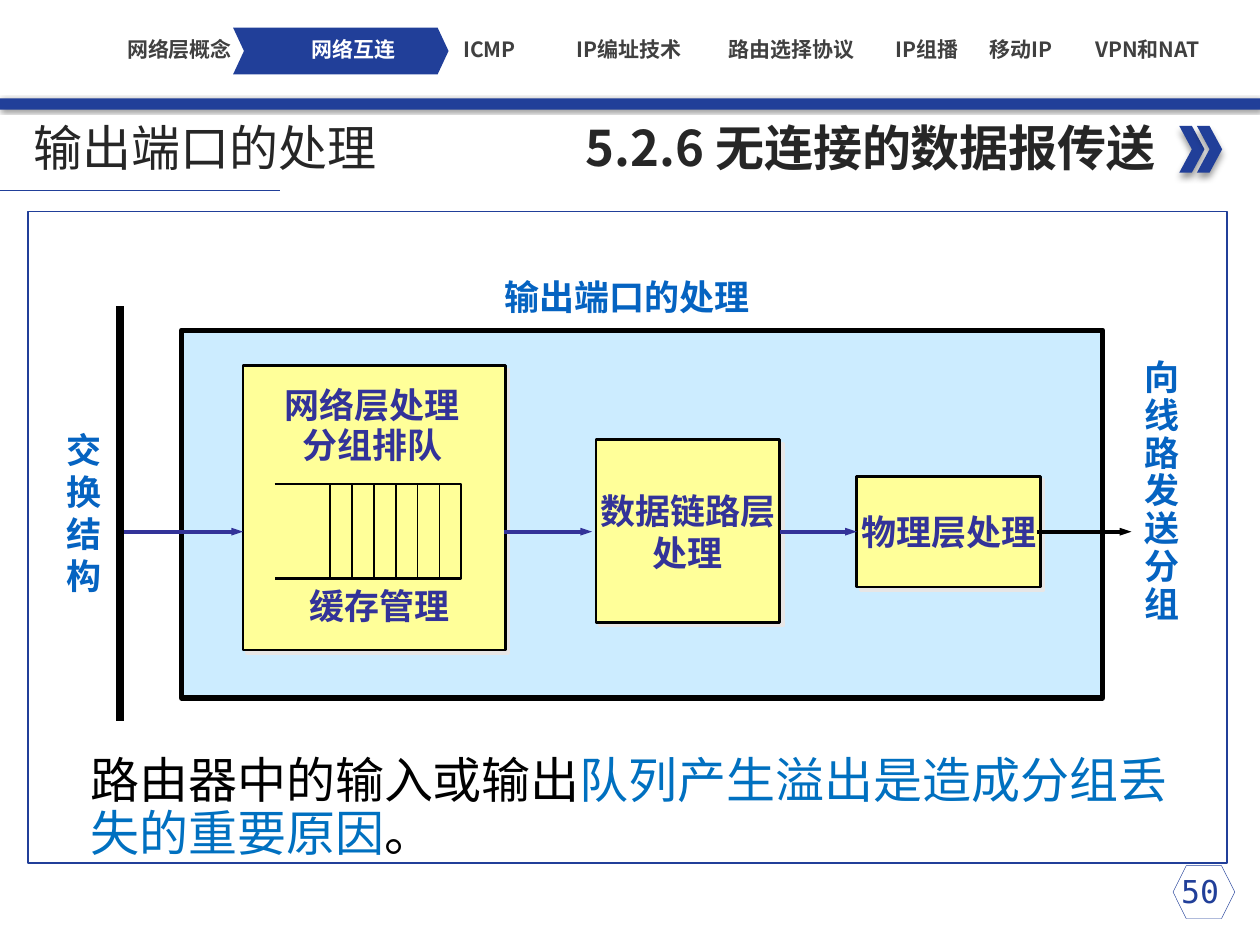
from dataclasses import dataclass
from typing import NamedTuple, Optional

import lxml.etree
import pptx
import pptx.dml.color
import pptx.enum.shapes
import pptx.enum.text
import pptx.oxml.ns
import pptx.util

Inches = pptx.util.Inches
Pt = pptx.util.Pt
Shape = pptx.enum.shapes.MSO_SHAPE
Align = pptx.enum.text.PP_ALIGN
Anchor = pptx.enum.text.MSO_ANCHOR
qn = pptx.oxml.ns.qn

NAVY, INDIGO, LINK, BLACK = "213F99", "333399", "0563C1", "000000"
CJK = "Noto Sans CJK SC"


class Box(NamedTuple):
    left: float
    top: float
    width: float
    height: float

    def lengths(self) -> list:
        return [Inches(value) for value in self]


class Shadow(NamedTuple):
    color: str
    opacity: int
    blur: float
    distance: float
    angle: int


@dataclass
class Style:
    size: int
    color: str
    bold: bool = False
    font: str = CJK
    align: Align = Align.CENTER
    anchor: Anchor = Anchor.TOP
    wrap: bool = True
    spacing: Optional[float] = None
    inset: Optional[float] = None


@dataclass
class Stage:
    box: Box
    lines: list


@dataclass
class Arrow:
    start: float
    end: float
    color: str = INDIGO


def rgb(color: str) -> pptx.dml.color.RGBColor:
    return pptx.dml.color.RGBColor.from_string(color)


def write(frame, paragraphs: list, style: Style) -> None:
    frame.word_wrap = style.wrap
    frame.vertical_anchor = style.anchor
    if style.inset is not None:
        frame.margin_left = frame.margin_right = Inches(style.inset)
        frame.margin_top = frame.margin_bottom = Inches(style.inset)
    for index, pieces in enumerate(paragraphs):
        paragraph = frame.add_paragraph() if index else frame.paragraphs[0]
        paragraph.alignment = style.align
        if style.spacing:
            paragraph.line_spacing = style.spacing
        for text, color in [(pieces, style.color)] if isinstance(pieces, str) else pieces:
            run = paragraph.add_run()
            run.text = text
            run.font.size = Pt(style.size)
            run.font.bold = style.bold
            run.font.name = style.font
            run.font.color.rgb = rgb(color)
            lxml.etree.SubElement(run.font._element, qn("a:ea"), typeface=CJK)


def add_text(slide, box: Box, paragraphs: list, style: Style) -> None:
    write(slide.shapes.add_textbox(*box.lengths()).text_frame, paragraphs, style)


def paint(shape, fill: Optional[str], line: Optional[str], weight: float) -> None:
    shape.shadow.inherit = False
    if fill:
        shape.fill.solid()
        shape.fill.fore_color.rgb = rgb(fill)
    else:
        shape.fill.background()
    if line:
        shape.line.color.rgb = rgb(line)
        shape.line.width = Pt(weight)
    else:
        shape.line.fill.background()


def add_shape(slide, kind: Shape, box: Box, fill: Optional[str] = None,
              line: Optional[str] = None, weight: float = 1,
              shadow: Optional[Shadow] = None):
    shape = slide.shapes.add_shape(kind, *box.lengths())
    paint(shape, fill, line, weight)
    if shadow:
        effects = shape._element.spPr.find(qn("a:effectLst"))
        outer = lxml.etree.SubElement(
            effects, qn("a:outerShdw"), blurRad=str(Pt(shadow.blur)),
            dist=str(Pt(shadow.distance)), dir=str(shadow.angle * 60000),
            algn="ctr", rotWithShape="0")
        tone = lxml.etree.SubElement(outer, qn("a:srgbClr"), val=shadow.color)
        lxml.etree.SubElement(tone, qn("a:alpha"), val=str(shadow.opacity * 1000))
    return shape


def add_line(slide, start: tuple, end: tuple, color: str, weight: float,
             arrow: bool = False) -> None:
    line = slide.shapes.add_connector(
        pptx.enum.shapes.MSO_CONNECTOR.STRAIGHT,
        *(Inches(value) for value in start + end))
    line.line.color.rgb = rgb(color)
    line.line.width = Pt(weight)
    if arrow:
        lxml.etree.SubElement(line.line._get_or_add_ln(), qn("a:tailEnd"),
                              type="triangle", w="sm", len="med")
    lxml.etree.SubElement(line._element.spPr, qn("a:effectLst"))


def add_header(slide) -> None:
    add_shape(slide, Shape.RECTANGLE, Box(0, 0.78, 10, 0.09), NAVY,
              shadow=Shadow(BLACK, 40, 2, 1, 45))
    for left in (9.36, 9.5):
        add_shape(slide, Shape.CHEVRON, Box(left, 1, 0.2, 0.37), NAVY,
                  shadow=Shadow(BLACK, 40, 4, 3, 90))
    add_text(slide, Box(0.76, 0.88, 8.51, 0.57), ["5.2.6 无连接的数据报传送"],
             Style(28, "262626", bold=True, align=Align.RIGHT))
    add_line(slide, (0, 1.51), (2.22, 1.51), NAVY, 0.5)
    add_text(slide, Box(0.17, 0.92, 3.93, 0.49), ["输出端口的处理"],
             Style(28, "262626", align=Align.LEFT, anchor=Anchor.MIDDLE))
    active = add_shape(slide, Shape.CHEVRON, Box(1.85, 0.22, 1.71, 0.37), NAVY)
    active.adjustments[0] = 0.234
    current = "网络互连"
    chapters = {"网络层概念": 0.7, current: 2.08, "ICMP": 3.16, "IP编址技术": 4.27,
                "路由选择协议": 5.56, "IP组播": 6.63, "移动IP": 7.38, "VPN和NAT": 8.38}
    for chapter, left in chapters.items():
        color = "FFFFFF" if chapter == current else "404040"
        add_text(slide, Box(left, 0.29, 1.45, 0.2), [chapter],
                 Style(12, color, bold=True, anchor=Anchor.MIDDLE, inset=0))


def add_queue(slide, box: Box) -> None:
    right, bottom = box.left + box.width, box.top + box.height
    corners = [(box.left, box.top), (right, box.top), (right, bottom), (box.left, bottom)]
    points = [(Inches(x), Inches(y)) for x, y in corners]
    builder = slide.shapes.build_freeform(*points[0])
    builder.add_line_segments(points[1:], close=False)
    paint(builder.convert_to_shape(), None, BLACK, 1.5)
    for slot in range(6):
        x = 2.62 + slot * 0.174
        add_line(slide, (x, box.top), (x, bottom), BLACK, 0.75)


def add_diagram(slide) -> None:
    add_shape(slide, Shape.RECTANGLE, Box(0.22, 1.68, 9.52, 5.17), line=NAVY)
    add_shape(slide, Shape.RECTANGLE, Box(1.44, 2.62, 7.31, 2.92), "CCECFF", BLACK, 3)
    stage_style = Style(20, INDIGO, True, "Arial", anchor=Anchor.MIDDLE, wrap=False)
    for stage in (Stage(Box(6.8, 3.78, 1.46, 0.88), ["物理层处理"]),
                  Stage(Box(4.73, 3.49, 1.46, 1.45), ["数据链路层", "处理"]),
                  Stage(Box(1.93, 2.9, 2.08, 2.26), [])):
        block = add_shape(slide, Shape.RECTANGLE, stage.box, "FFFF99", BLACK, 1.5,
                          Shadow("E7E6E6", 100, 0, 2.8, 45))
        write(block.text_frame, stage.lines, stage_style)
    for arrow in (Arrow(8.23, 8.98, BLACK), Arrow(6.19, 6.8),
                  Arrow(4, 4.7), Arrow(0.95, 1.93)):
        add_line(slide, (arrow.start, 4.22), (arrow.end, 4.22), arrow.color, 2.25, True)
    add_line(slide, (0.95, 2.43), (0.95, 5.72), BLACK, 4.5)
    add_queue(slide, Box(2.18, 3.84, 1.48, 0.75))
    for box, lines, color, spacing in (
            (Box(2.15, 3.02, 1.61, 0.74), ["网络层处理", "分组排队"], INDIGO, 0.95),
            (Box(2.35, 4.59, 1.33, 0.44), ["缓存管理"], INDIGO, None),
            (Box(3.82, 2.14, 2.31, 0.43), ["输出端口的处理"], LINK, None),
            (Box(8.98, 2.81, 0.48, 2.22), list("向线路发送分组"), LINK, 0.9),
            (Box(0.43, 3.35, 0.48, 1.45), list("交换结构"), LINK, None)):
        add_text(slide, box, lines,
                 Style(20, color, True, "Arial", wrap=False, spacing=spacing))
    conclusion = [("路由器中的输入或输出", BLACK),
                  ("队列产生溢出是造成分组丢失的重要原因", "0070C0"), ("。", BLACK)]
    add_text(slide, Box(0.62, 5.95, 8.83, 0.95), [conclusion],
             Style(28, BLACK, align=Align.LEFT, spacing=0.9))


def main() -> None:
    deck = pptx.Presentation()
    deck.slide_width, deck.slide_height = Inches(10), Inches(7.5)
    slide = deck.slides.add_slide(deck.slide_layouts[6])
    add_header(slide)
    add_diagram(slide)
    add_shape(slide, Shape.HEXAGON, Box(9.31, 6.87, 0.49, 0.42), line=NAVY, weight=0.25)
    add_text(slide, Box(9.09, 6.87, 0.87, 0.4), ["50"],
             Style(18, NAVY, font="DejaVu Sans Mono"))
    deck.save("out.pptx")


if __name__ == "__main__":
    main()
